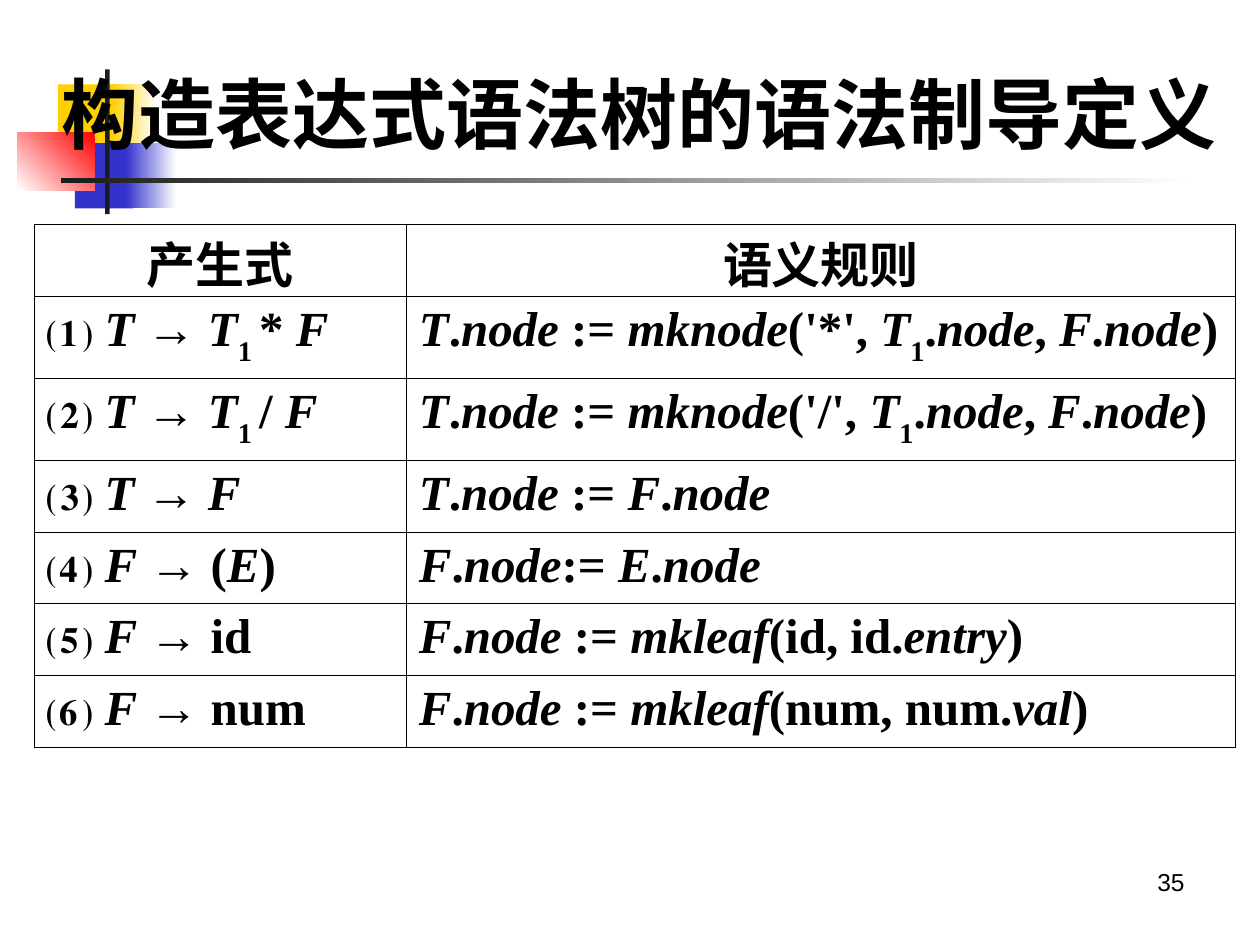
from dataclasses import dataclass
from lxml.etree import SubElement
from pptx import Presentation
from pptx.dml.color import RGBColor
from pptx.enum.shapes import MSO_SHAPE
from pptx.enum.text import MSO_ANCHOR, MSO_AUTO_SIZE, PP_ALIGN
from pptx.oxml.ns import qn
from pptx.util import Inches, Pt


@dataclass(frozen=True)
class Theme:
    """Colours, fonts and type sizes of the slide."""
    ink: str = "000000"
    bar: str = "1C1C1C"
    paper: str = "FFFFFF"
    gold: str = "FFCF01"
    blue: str = "3333CC"
    red: str = "FF0000"
    serif: str = "Times New Roman"
    sans: str = "Arial"
    title: int = 44
    table: int = 28
    number: int = 14
    border: float = 0.45
    header_spacing: float = 0.93


def write(frame, text, *, size, font, color, bold=False, align=PP_ALIGN.LEFT, spacing=None):
    """Write one paragraph, with _italic_ and ~subscript~ marks."""
    paragraph = frame.paragraphs[0]
    paragraph.alignment = align
    paragraph.line_spacing = spacing
    paragraph.space_before = Pt(0)
    for i, part in enumerate(text.split("_")):
        for j, piece in enumerate(part.split("~")):
            if not piece:
                continue
            run = paragraph.add_run()
            run.text = piece
            run.font.name = font
            run.font.size = Pt(size)
            run.font.bold = bold
            run.font.italic = i % 2 == 1
            run.font.color.rgb = RGBColor.from_string(color)
            if j % 2:
                run.font._element.set("baseline", "-30000")


class Deck:
    """Holds the theme and current slide on a grid of 100 columns by 75 rows."""

    def __init__(self, theme):
        """Open a blank title slide of the right size."""
        self.theme = theme
        self.presentation = Presentation()
        self.presentation.slide_width = Inches(10)
        self.presentation.slide_height = Inches(7.5)
        self.column = self.presentation.slide_width / 100
        self.row = self.presentation.slide_height / 75
        self.slide = self.presentation.slides.add_slide(self.presentation.slide_layouts[5])

    def place(self, left, top, width, height):
        """Turn grid units into slide lengths."""
        return (round(left * self.column), round(top * self.row),
                round(width * self.column), round(height * self.row))

    def block(self, area, color, fade_to=None, angle=180):
        """Add a plain or fading rectangle without outline."""
        block = self.slide.shapes.add_shape(MSO_SHAPE.RECTANGLE, *self.place(*area))
        block.shadow.inherit = False
        block.line.fill.background()
        if fade_to is None:
            block.fill.solid()
            block.fill.fore_color.rgb = RGBColor.from_string(color)
            return
        block.fill.gradient()
        block.fill.gradient_angle = angle
        for stop, shade in zip(block.fill.gradient_stops, (color, fade_to)):
            stop.color.rgb = RGBColor.from_string(shade)

    def title(self, area, text):
        """Fill the title placeholder and bring it to the front."""
        heading = self.slide.shapes.title
        heading.left, heading.top, heading.width, heading.height = self.place(*area)
        heading.element.getparent().append(heading.element)
        frame = heading.text_frame
        frame.auto_size = MSO_AUTO_SIZE.NONE
        frame.vertical_anchor = MSO_ANCHOR.MIDDLE
        write(frame, text, size=self.theme.title, font=self.theme.serif,
              color=self.theme.ink, bold=True, align=PP_ALIGN.CENTER)

    def number(self, area, text):
        """Add the page number."""
        frame = self.slide.shapes.add_textbox(*self.place(*area)).text_frame
        frame.word_wrap = True
        write(frame, text, size=self.theme.number, font=self.theme.sans,
              color=self.theme.ink, align=PP_ALIGN.RIGHT)

    def outline(self, cell):
        """Draw the four borders of a cell."""
        properties = cell._tc.get_or_add_tcPr()
        for side in ("lnL", "lnR", "lnT", "lnB"):
            line = SubElement(properties, qn(f"a:{side}"), w=str(Pt(self.theme.border)))
            fill = SubElement(line, qn("a:solidFill"))
            SubElement(fill, qn("a:srgbClr"), val=self.theme.ink)

    def table(self, corner, widths, heights, rows):
        """Add a ruled table whose first row is a centred, tightly set header."""
        area = self.place(*corner, sum(widths), sum(heights))
        grid = self.slide.shapes.add_table(len(rows), len(widths), *area).table
        grid.first_row = grid.horz_banding = False
        for column, width in zip(grid.columns, widths):
            column.width = round(width * self.column)
        header = {"align": PP_ALIGN.CENTER, "spacing": self.theme.header_spacing}
        for r, (height, texts) in enumerate(zip(heights, rows)):
            grid.rows[r].height = round(height * self.row)
            for c, text in enumerate(texts):
                cell = grid.cell(r, c)
                self.outline(cell)
                cell.fill.background()
                if r == 0:
                    cell.margin_bottom = 0
                write(cell.text_frame, text, size=self.theme.table, font=self.theme.serif,
                      color=self.theme.ink, bold=True, **({} if r else header))


RULES = [
    ("产生式", "语义规则"),
    ("⑴ _T_ → _T_~1 ~* _F_", "_T_._node_ := _mknode_('*', _T_~1~._node_, _F_._node_)"),
    ("⑵ _T_ → _T_~1 ~/ _F_", "_T_._node_ := _mknode_('/', _T_~1~._node_, _F_._node_)"),
    ("⑶ _T_ → _F_", "_T_._node_ := _F_._node_"),
    ("⑷ _F_ → (_E_)", "_F_._node_:= _E_._node_"),
    ("⑸ _F_ → id", "_F_._node_ := _mkleaf_(id, id._entry_)"),
    ("⑹ _F_ → num", "_F_._node_ := _mkleaf_(num, num._val_)"),
]


def main():
    """Build the slide and save it."""
    theme = Theme()
    deck = Deck(theme)
    deck.block((4.6, 6.7, 4.8, 5.2), theme.gold)
    deck.block((8.8, 6.7, 3.6, 5.2), theme.paper, theme.gold)
    deck.block((5.95, 11.35, 4.6, 5.2), theme.blue)
    deck.block((10, 11.35, 4, 5.2), theme.paper, theme.blue)
    deck.block((1.4, 10.5, 6.1, 4.6), theme.red, theme.paper, angle=225)
    deck.block((8.35, 5.5, 0.35, 11.5), theme.bar)
    deck.block((4.85, 14.15, 90, 0.4), theme.paper, theme.bar)
    deck.number((71.7, 68.3, 23.3, 5.2), "35")
    deck.title((3.5, 4.75, 94.5, 8.4), "构造表达式语法树的语法制导定义")
    deck.table((2.7, 17.8), (29.55, 65.8), (5.7, 6.5, 6.5, 5.7, 5.7, 5.7, 5.7), RULES)
    deck.presentation.save("out.pptx")


if __name__ == "__main__":
    main()
